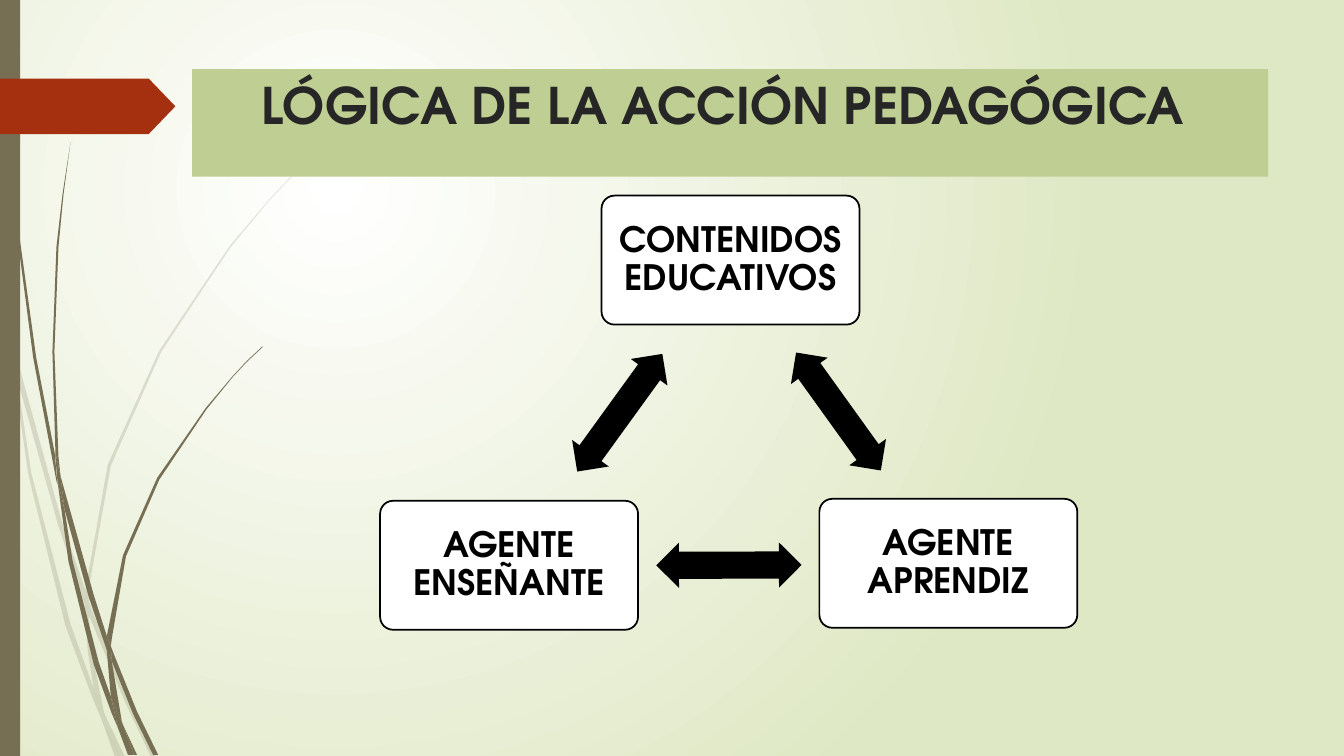
from lxml.etree import SubElement
from pptx import Presentation
from pptx.dml.color import RGBColor
from pptx.enum.shapes import MSO_SHAPE
from pptx.enum.text import MSO_ANCHOR, PP_ALIGN
from pptx.oxml.ns import qn
from pptx.util import Cm, Pt

FONT = "TeX Gyre Adventor"
WHITE = RGBColor(0xFF, 0xFF, 0xFF)
BLACK = RGBColor(0, 0, 0)
DARK = RGBColor(0x26, 0x26, 0x26)
PALE_GREEN = RGBColor(0xDF, 0xE8, 0xC4)
BAND_GREEN = RGBColor(0xBF, 0xCE, 0x92)
BROWN = RGBColor(0x76, 0x6F, 0x54)
RED = RGBColor(0xA5, 0x30, 0x10)

# Outlines of the blades of grass, as (x, y) in GRID units
GRID = Cm(2.54) / 100
PALE_BLADES = [
    [(11, 350), (9, 322), (0, 282), (0, 299), (10, 344)],
    [(58, 522), (84, 599), (85, 586), (62, 520), (14, 345), (17, 376)],
    [(92, 607), (88, 596), (88, 610), (123, 694), (150, 751), (155, 751),
     (127, 692)],
    [(119, 751), (124, 751), (105, 711)],
    [(93, 683), (70, 619), (31, 469), (17, 376), (11, 350), (28, 470),
     (65, 621), (92, 693), (101, 714), (99, 707)],
    [(84, 599), (87, 646), (93, 683), (96, 692), (105, 711), (103, 706),
     (91, 646), (88, 610), (88, 608)],
    [(88, 584), (110, 462), (160, 349), (229, 245), (268, 198), (290, 175),
     (312, 154), (312, 153), (289, 175), (268, 197), (228, 244), (158, 348),
     (107, 461), (85, 584), (85, 586), (88, 596)],
    [(101, 714), (114, 751), (119, 751)],
    [(88, 608), (88, 610), (88, 596), (85, 586), (84, 599)],
    [(96, 692), (93, 683), (99, 707), (101, 714), (119, 751), (105, 711)],
]
DARK_BLADES = [
    [(7, 110), (17, 233), (33, 355), (56, 477), (57, 481), (55, 457),
     (55, 453), (36, 355), (19, 232), (8, 109), (5, 48), (4, 0), (3, 0),
     (4, 48)],
    [(88, 592), (106, 645), (106, 631), (93, 590), (60, 472), (64, 505)],
    [(113, 649), (110, 641), (111, 656), (132, 708), (152, 749), (157, 749),
     (136, 706)],
    [(110, 691), (98, 657), (72, 556), (64, 505), (57, 477), (68, 557),
     (93, 659), (111, 708), (117, 722), (116, 717)],
    [(60, 472), (58, 453), (54, 349), (58, 245), (63, 193), (70, 141),
     (62, 193), (56, 245), (52, 349), (55, 449)],
    [(133, 749), (136, 749), (122, 719)],
    [(57, 477), (64, 505), (60, 472), (55, 449), (55, 453)],
    [(111, 633), (125, 552), (158, 476), (205, 406), (231, 374), (245, 359),
     (261, 344), (260, 344), (245, 358), (231, 373), (204, 405), (156, 474),
     (122, 551), (106, 631), (110, 641)],
    [(117, 722), (127, 749), (131, 749)],
    [(106, 645), (110, 691), (116, 706), (122, 719), (121, 716), (111, 656),
     (109, 651)],
    [(106, 645), (109, 651), (111, 656), (110, 641), (106, 631)],
    [(116, 706), (110, 691), (116, 717), (117, 722), (130, 749), (133, 749),
     (122, 719)],
]


def paint(shape, color, line=None):
    shape.shadow.inherit = False
    shape.fill.solid()
    shape.fill.fore_color.rgb = color
    if line is None:
        shape.line.fill.background()
    else:
        shape.line.color.rgb = line
        shape.line.width = Pt(1.25)


def add_shape(s, kind, x, y, w, h, color, line=None):
    sp = s.shapes.add_shape(kind, Cm(x), Cm(y), Cm(w), Cm(h))
    paint(sp, color, line)
    return sp


def write(sp, text, size, color):
    tf = sp.text_frame
    tf.word_wrap = True
    p = tf.paragraphs[0]
    p.text = text
    p.alignment = PP_ALIGN.CENTER
    font = p.runs[0].font
    font.name, font.size, font.bold = FONT, Pt(size), True
    font.color.rgb = color
    return tf


def add_blade(s, left, top, points, alpha=None):
    builder = s.shapes.build_freeform(*points[0], scale=GRID)
    builder.add_line_segments(points[1:])
    sp = builder.convert_to_shape(Cm(left), Cm(top))
    paint(sp, BROWN)
    if alpha:
        color = sp._element.spPr.find(qn("a:solidFill"))[0]
        SubElement(color, qn("a:alpha")).set("val", str(alpha * 1000))


def add_background(s):
    fill = s.background.fill
    fill.gradient()
    for position, (stop, color) in enumerate(
            zip(fill.gradient_stops, (WHITE, PALE_GREEN))):
        stop.color.rgb = color
        stop.position = position
    grad = next(s._element.iter(qn("a:gradFill")))
    grad.remove(grad.find(qn("a:lin")))
    circle = SubElement(grad, qn("a:path"))
    circle.set("path", "circle")
    rect = SubElement(circle, qn("a:fillToRect"))
    for side, percent in zip("ltrb", (50, 50, 100, 100)):
        rect.set(side, str(percent * 1000))


def add_left_decoration(s, left, top, height):
    for blade in PALE_BLADES:
        add_blade(s, left, top, blade, alpha=20)
    for blade in DARK_BLADES:
        add_blade(s, left, top, blade)
    add_shape(s, MSO_SHAPE.RECTANGLE, left, top, 0.51, height, BROWN)
    tag = add_shape(s, MSO_SHAPE.PENTAGON, left, top + 1.98, 4.42, 1.4, RED)
    tag.adjustments[0] = 0.48


def add_title(s, x, y, w, h):
    band = add_shape(s, MSO_SHAPE.RECTANGLE, x, y, w, h, BAND_GREEN)
    tf = write(band, "LÓGICA DE LA ACCIÓN PEDAGÓGICA ", 36, DARK)
    tf.vertical_anchor = MSO_ANCHOR.TOP


def add_box(s, text, x, y, w, h):
    box = add_shape(s, MSO_SHAPE.ROUNDED_RECTANGLE, x, y, w, h, WHITE, BLACK)
    box.adjustments[0] = 0.1
    pad = 0.1
    label = s.shapes.add_textbox(Cm(x + pad), Cm(y + pad),
                                 Cm(w - 2 * pad), Cm(h - 2 * pad))
    tf = write(label, text, 25, BLACK)
    tf.vertical_anchor = MSO_ANCHOR.MIDDLE
    tf.margin_left = tf.margin_right = Cm(0.25)
    tf.margin_top = tf.margin_bottom = Cm(0.25)
    tf.paragraphs[0].line_spacing = 0.9
    tf.paragraphs[0].space_after = Pt(8.75)


def add_triangle(s, left, top):
    """Draw three boxes joined by two-way arrows."""
    for text, x, y in (("CONTENIDOS EDUCATIVOS", 5.58, 0),
                       ("AGENTE APRENDIZ", 11.07, 7.64),
                       ("AGENTE ENSEÑANTE", 0, 7.69)):
        add_box(s, text, left + x, top + y, 6.5, 3.25)
    for x, y, angle in ((9.72, 4.87, 54.3), (6.96, 8.74, 179.8),
                        (4.21, 4.9, 305.9)):
        arrow = add_shape(s, MSO_SHAPE.LEFT_RIGHT_ARROW, left + x, top + y,
                          3.66, 1.14, BLACK)
        arrow.adjustments[0] = 0.6
        arrow.adjustments[1] = 0.5
        arrow.rotation = angle


def main():
    prs = Presentation()
    prs.slide_width, prs.slide_height = Cm(33.87), Cm(19.05)
    s = prs.slides.add_slide(prs.slide_layouts[6])
    add_background(s)
    add_left_decoration(s, 0, 0, 19.05)
    add_title(s, 4.84, 1.74, 27.12, 2.71)
    add_triangle(s, 9.58, 4.93)
    prs.save("out.pptx")


if __name__ == "__main__":
    main()
